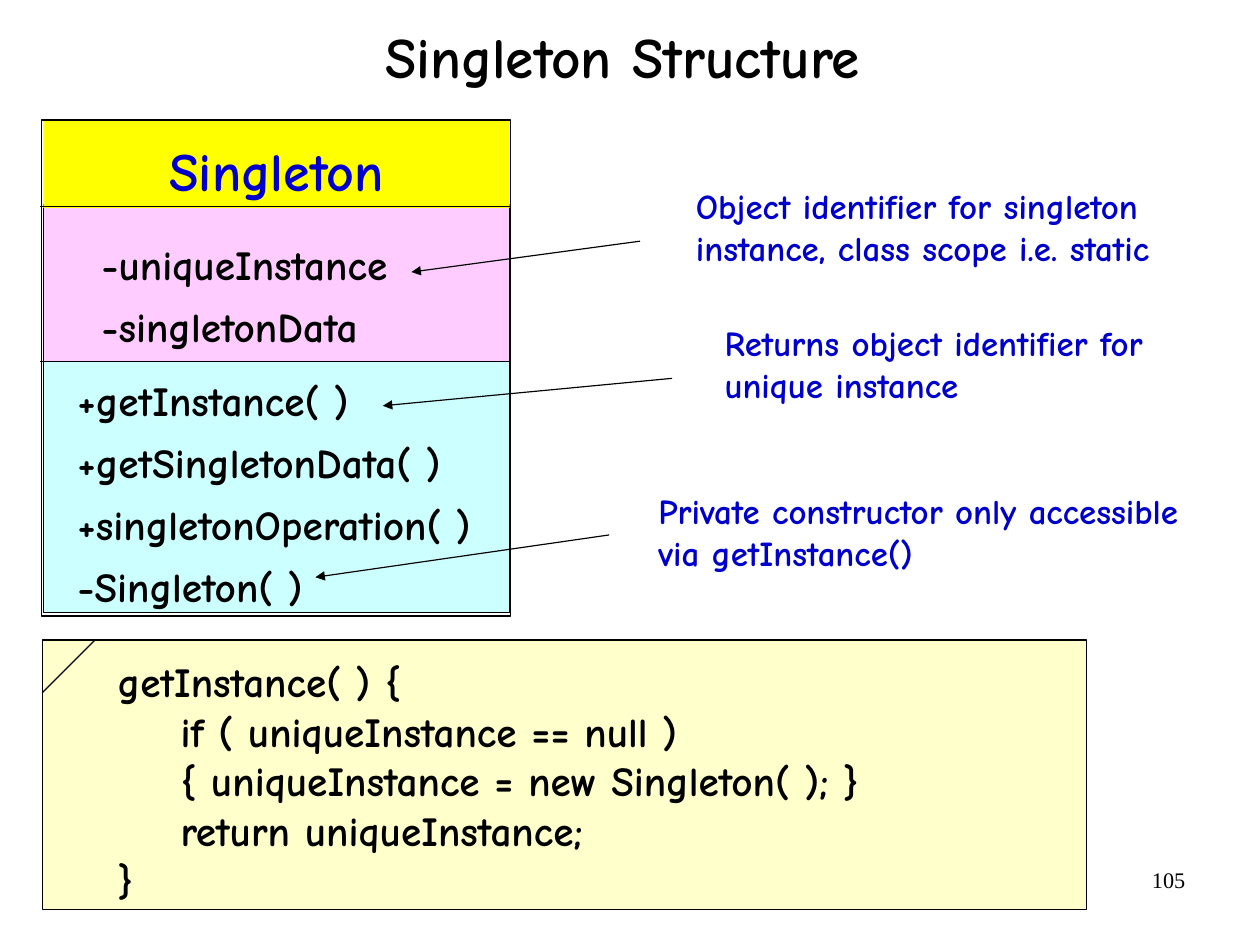
from dataclasses import dataclass
from lxml.etree import SubElement as Sub
from pptx import Presentation
from pptx.dml.color import RGBColor as RGB
from pptx.enum.shapes import MSO_CONNECTOR as Link, MSO_SHAPE as Kind
from pptx.enum.text import MSO_ANCHOR as Anchor, MSO_AUTO_SIZE as Fit, PP_ALIGN as Align
from pptx.oxml.ns import qn
from pptx.util import Inches, Pt


@dataclass(frozen=True)
class Theme:
    font: str = "Comic Neue"
    serif: str = "Times New Roman"
    ink: str = "000000"
    blue: str = "0000CC"
    yellow: str = "FFFF00"
    pink: str = "FFCCFF"
    cyan: str = "CCFFFF"
    cream: str = "FFFFCC"
    title: int = 36
    head: int = 34
    body: int = 26
    note: int = 22
    page: int = 14
    line: float = 0.75


T = Theme()
WIDTH, HEIGHT = Pt(793.75), Pt(595.25)
CELL = Inches(0.1)  # grid step: about 110 columns by 83 rows
LEFT, WIDE = 3.8, 40.8  # class box
TOP, SPLIT, MID, END = 10.6, 18.1, 31.6, 53.6
LAP = 0.2  # the field panel runs under the name panel
CODE_LEFT, CODE_TOP, FOLD = 3.7, 56, 4.6

TITLE = "Singleton Structure"
NAME = "Singleton"
FIELDS = ["-uniqueInstance", "-singletonData"]
METHODS = ["+getInstance( )", "+getSingletonData( )",
           "+singletonOperation( )", "-Singleton( )"]
CODE = ["getInstance( ) {",
        "\tif ( uniqueInstance == null )",
        "\t{ uniqueInstance = new Singleton( ); }",
        "\treturn uniqueInstance;",
        "}"]
# lines, text box (column, row, width), arrow from, arrow to
NOTES = [
    (["Object identifier for singleton", "instance, class scope i.e. static"],
     (59.8, 15.55, 42), (56, 21.1), (36, 23.8)),
    (["Returns object identifier for", "unique instance"],
     (62.3, 27.55, 40), (58.8, 33.1), (33.5, 35.5)),
    (["Private constructor only accessible", "via getInstance()"],
     (56.5, 42.25, 47.9), (53.3, 46.8), (27.6, 50.5)),
]
PAGE = "105"
LIST = dict(line_spacing=1.15, space_before=Pt(1.6), space_after=Pt(1.6))
HEAD = dict(alignment=Align.CENTER, line_spacing=1.15,
            space_before=Pt(2.1), space_after=Pt(2.1))


def grid(*cells):
    return [round(n * CELL) for n in cells]


def assign(item, values):
    for key, value in values.items():
        setattr(item, key, value)


def write(shape, lines, size, color=T.ink, font=T.font, bold=True,
          pad=(0.11, 0.06), anchor=Anchor.TOP, wrap=False, fit=Fit.SHAPE_TO_FIT_TEXT,
          para=None):
    frame = shape.text_frame
    side, edge = map(Inches, pad)
    assign(frame, dict(margin_left=side, margin_right=side, margin_top=edge,
                       margin_bottom=edge, vertical_anchor=anchor,
                       word_wrap=wrap, auto_size=fit))
    for i, text in enumerate(lines):
        p = frame.add_paragraph() if i else frame.paragraphs[0]
        assign(p, dict(alignment=Align.LEFT) | (para or {}))
        if not i:
            p.space_before = Pt(0)
        if "\t" in text:
            tabs = Sub(p._p.get_or_add_pPr(), qn("a:tabLst"))
            Sub(tabs, qn("a:tab"), pos=str(Inches(0.55)), algn="l")
        run = p.add_run()
        run.text = text
        assign(run.font, dict(name=font, size=Pt(size), bold=bold))
        run.font.color.rgb = RGB.from_string(color)


def label(shapes, box, lines, size, **style):
    write(shapes.add_textbox(*grid(*box)), lines, size, **style)


def panel(shapes, box, fill=None, edge=True):
    shape = shapes.add_shape(Kind.RECTANGLE, *grid(*box))
    shape.shadow.inherit = False
    if fill:
        shape.fill.solid()
        shape.fill.fore_color.rgb = RGB.from_string(fill)
    else:
        shape.fill.background()
    if edge:
        ink(shape)
    else:
        shape.line.fill.background()
    return shape


def ink(shape):
    shape.line.color.rgb = RGB.from_string(T.ink)
    shape.line.width = Pt(T.line)


def rule(shapes, start, end, arrow=False):
    line = shapes.add_connector(Link.STRAIGHT, *grid(*start, *end))
    ink(line)
    if arrow:
        Sub(line.line._get_or_add_ln(), qn("a:tailEnd"), type="triangle")
    Sub(line._element.spPr, qn("a:effectLst"))


def diagram(shapes):
    panel(shapes, (LEFT, MID, WIDE, END - MID), T.cyan)
    panel(shapes, (LEFT, SPLIT - LAP, WIDE, MID - SPLIT + LAP), T.pink)
    head = panel(shapes, (LEFT, TOP, WIDE, SPLIT - TOP + LAP / 2), T.yellow, edge=False)
    write(head, [NAME], T.head, color=T.blue, wrap=True, fit=Fit.NONE, para=HEAD)
    panel(shapes, (3.6, 10.5, 41.05, 43.4))
    label(shapes, (7.8, 19.7, 27.3, 11.5), FIELDS, T.body, para=LIST)
    label(shapes, (5.7, MID, 36.8, 22.4), METHODS, T.body, para=LIST)
    for row, right in ((MID, 43.7), (SPLIT, 44.7)):
        rule(shapes, (3.5, row), (right, row))


def main():
    deck = Presentation()
    deck.slide_width, deck.slide_height = WIDTH, HEIGHT
    shapes = deck.slides.add_slide(deck.slide_layouts[6]).shapes

    label(shapes, (79, 75.3, 25.7, 5.7), [PAGE], T.page, font=T.serif, bold=False,
          pad=(0.1, 0.05), wrap=True, fit=Fit.NONE, para=dict(alignment=Align.RIGHT))
    panel(shapes, (CODE_LEFT, CODE_TOP, 91.4, 23.6), T.cream)
    label(shapes, (7.6, -1.6, 93.7, 13.8), [TITLE], T.title, pad=(0, 0),
          anchor=Anchor.MIDDLE, wrap=True, fit=Fit.NONE,
          para=dict(alignment=Align.CENTER, line_spacing=0.88))
    diagram(shapes.add_group_shape().shapes)
    for lines, box, start, end in NOTES:
        label(shapes, (*box, 8.4), lines, T.note, color=T.blue)
        rule(shapes, start, end, arrow=True)
    label(shapes, (9.2, 56.85, 67.3, 22.8), CODE, T.body)
    rule(shapes, (CODE_LEFT + FOLD, CODE_TOP), (CODE_LEFT, CODE_TOP + FOLD))
    deck.save("out.pptx")


if __name__ == "__main__":
    main()
